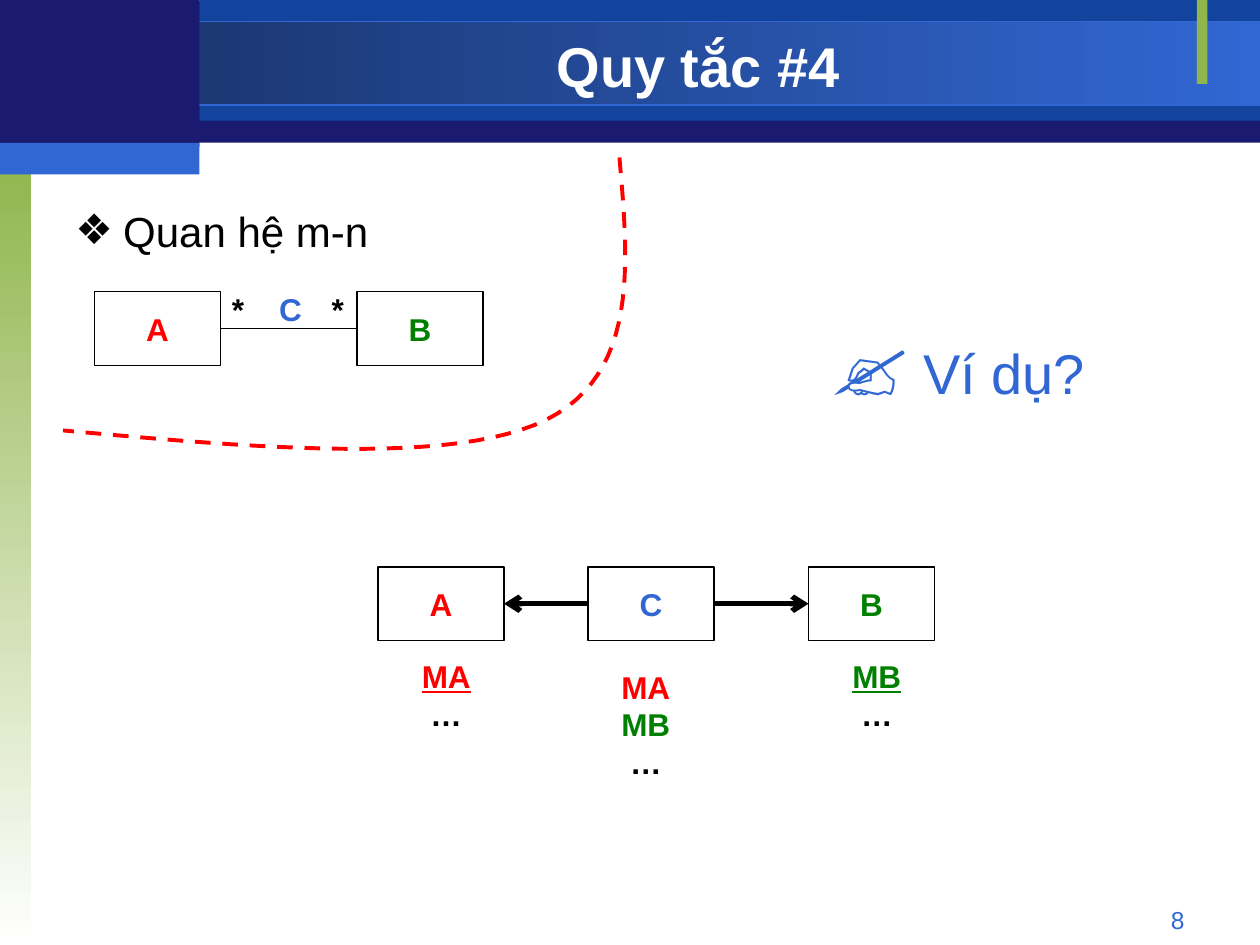
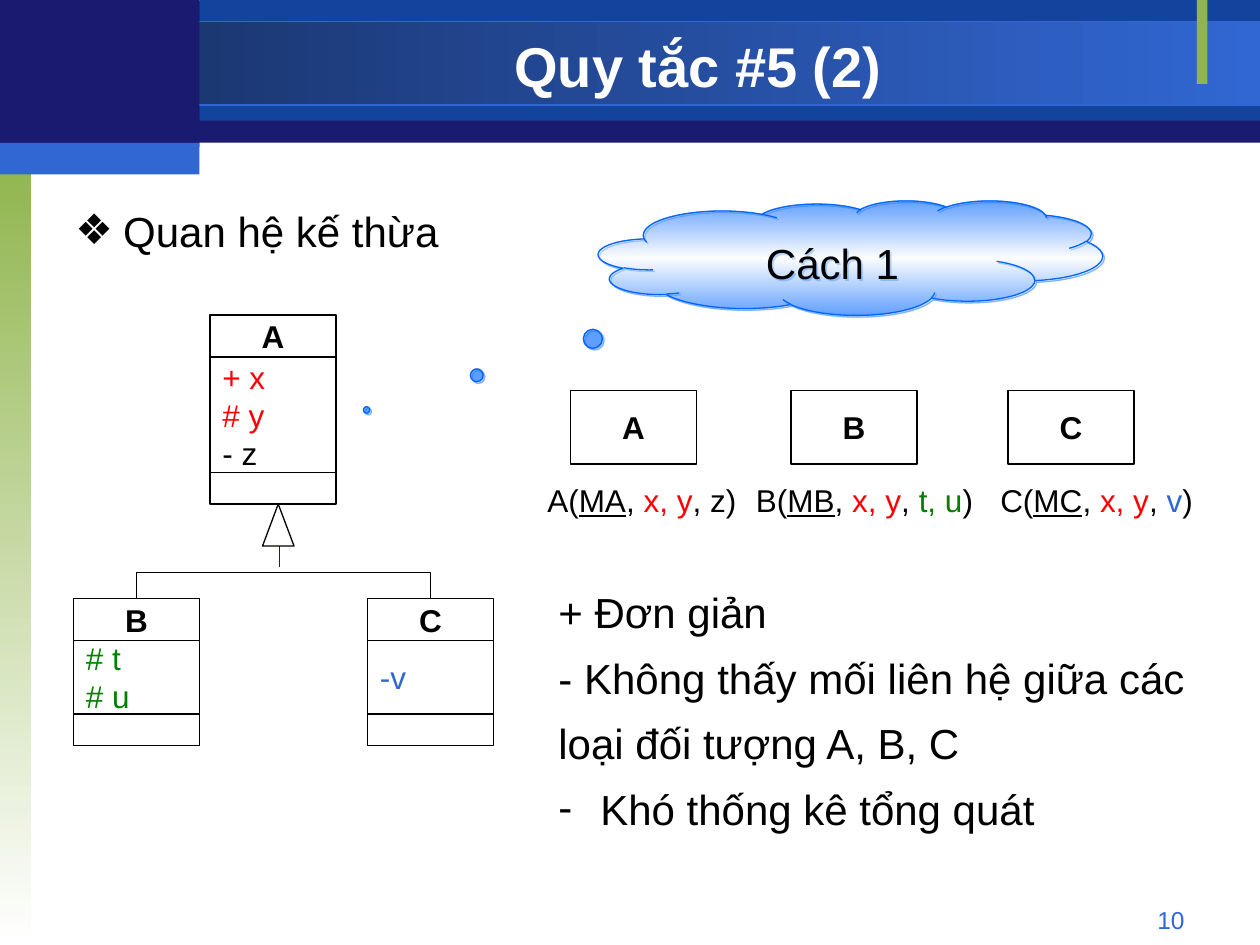
from dataclasses import dataclass

from lxml import etree
from pptx import Presentation
from pptx.dml.color import RGBColor
from pptx.enum import dml, shapes, text
from pptx.oxml import parse_xml
from pptx.oxml.ns import nsdecls, qn
from pptx.util import Inches, Pt

# The grid: 120 columns by 90 rows, twelve to the inch
COLUMNS, ROWS, PER_INCH = 120, 90, 12
FONT = "Arial"
NAVY, DEEP, BLUE, DUSK = "1A1A70", "12449E", "3167D3", "172F61"
LIME, SKY = "90B54D", "0066FF"
BLACK, WHITE, RED, GREEN = "000000", "FFFFFF", "FF0000", "008000"
LEFT, CENTER = text.PP_ALIGN.LEFT, text.PP_ALIGN.CENTER
RIGHT, JUSTIFY = text.PP_ALIGN.RIGHT, text.PP_ALIGN.JUSTIFY
TOP_SIDE, LEFT_SIDE, RIGHT_SIDE = 0, 1, 3
CARD_W, CARD_H = 12, 7


def rgb(colour):
    return RGBColor.from_string(colour)


def cells(*lengths):
    return [Inches(length / PER_INCH) for length in lengths]


def paint_gradient(shape, stops, angle, alpha=100):
    marks = "".join(
        f'<a:gs pos="{at * 1000}"><a:srgbClr val="{colour}">'
        f'<a:alpha val="{alpha * 1000}"/></a:srgbClr></a:gs>'
        for at, colour in stops)
    gradient = parse_xml(
        f'<a:gradFill {nsdecls("a")} rotWithShape="1"><a:gsLst>{marks}</a:gsLst>'
        f'<a:lin ang="{angle * 60000}" scaled="0"/></a:gradFill>')
    shape.fill.background()
    blank = shape._element.spPr.find(qn("a:noFill"))
    blank.getparent().replace(blank, gradient)


def add_bullet(paragraph, mark, indent):
    props = paragraph._p.get_or_add_pPr()
    props.set("marL", str(Inches(indent)))
    props.set("indent", str(-Inches(indent)))
    etree.SubElement(props, qn("a:buFont")).set("typeface", FONT)
    etree.SubElement(props, qn("a:buChar")).set("char", mark)


def write(frame, lines, size=18, bold=False, align=LEFT, spacing=None):
    """Each line is a list of runs: (words, colour, optional underline)."""
    for number, runs in enumerate(lines):
        line = frame.add_paragraph() if number else frame.paragraphs[0]
        line.alignment = align
        if spacing:
            line.line_spacing = spacing
        for words, colour, *underline in runs:
            run = line.add_run()
            run.text = words
            font = run.font
            font.name, font.size, font.bold = FONT, Pt(size), bold
            font.color.rgb = rgb(colour)
            if underline:
                font.underline = True


@dataclass
class Region:
    """A part of a slide; its parts are placed from its top left corner."""
    slide: object
    left: float = 0
    top: float = 0

    def place(self, x, y):
        return cells(self.left + x, self.top + y)

    def shape(self, x, y, w, h, fill=WHITE, line=None,
              kind=shapes.MSO_SHAPE.RECTANGLE):
        part = self.slide.shapes.add_shape(kind, *self.place(x, y), *cells(w, h))
        part.shadow.inherit = False
        part.fill.solid()
        part.fill.fore_color.rgb = rgb(fill)
        if line:
            part.line.color.rgb = rgb(line)
            part.line.width = Pt(0.75)
        else:
            part.line.fill.background()
        return part

    def card(self, x, y, lines=(), h=CARD_H, bold=True, align=CENTER):
        part = self.shape(x, y, CARD_W, h, line=BLACK)
        part.text_frame.vertical_anchor = text.MSO_ANCHOR.MIDDLE
        write(part.text_frame, lines, bold=bold, align=align)
        return part

    def words(self, x, y, w, h, lines, wrap=False, **style):
        frame = self.slide.shapes.add_textbox(
            *self.place(x, y), *cells(w, h)).text_frame
        frame.word_wrap = wrap
        frame.auto_size = (text.MSO_AUTO_SIZE.NONE if wrap
                           else text.MSO_AUTO_SIZE.SHAPE_TO_FIT_TEXT)
        write(frame, lines, **style)
        return frame

    def line(self, start=(0, 0), end=(0, 0), colour=BLACK, width=0.75,
             begin=None, finish=None, arrow=False,
             kind=shapes.MSO_CONNECTOR.STRAIGHT):
        """begin and finish are (card, side) pairs to join."""
        link = self.slide.shapes.add_connector(
            kind, *self.place(*start), *self.place(*end))
        if begin:
            link.begin_connect(*begin)
        if finish:
            link.end_connect(*finish)
        link.line.color.rgb = rgb(colour)
        link.line.width = Pt(width)
        if arrow:
            head = etree.SubElement(link.line._get_or_add_ln(), qn("a:tailEnd"))
            head.set("type", "arrow")
        etree.SubElement(link._element.spPr, qn("a:effectLst"))
        return link


# What the slides share: bands, title, heading, page number
def add_base_slide(deck, title, heading, page):
    slide = deck.slides.add_slide(deck.slide_layouts[6])
    whole = Region(slide)
    whole.shape(0, 0.1, COLUMNS, 13.5, NAVY)
    whole.shape(19, 0, COLUMNS - 19, 11.5, DEEP)
    title_band = whole.shape(0, 2.05, COLUMNS, 7.95, line=BLUE)
    paint_gradient(title_band, [(0, DUSK), (100, BLUE)], 0)
    side_strip = whole.shape(0, 15, 3, ROWS - 15)
    paint_gradient(side_strip, [(0, LIME), (100, WHITE)], 90)
    whole.shape(114, 0, 1, 8, LIME)
    whole.shape(0, 0, 19, 14, NAVY)
    whole.shape(0, 13.6, 19, 3, BLUE)

    whole.words(86, 85.6, 28, 3.25, [[(page, BLUE)]], wrap=True, size=14, align=RIGHT)
    title_frame = whole.words(19, 2.7, 95, 7, [[(title, WHITE)]], wrap=True,
                              size=32, bold=True, align=CENTER)
    title_frame.vertical_anchor = text.MSO_ANCHOR.MIDDLE
    body = whole.words(6, 18, 108, 66, [[(heading, BLACK)]], wrap=True,
                       size=24, spacing=1.2)
    body.paragraphs[0].space_before = Pt(4.8)
    add_bullet(body.paragraphs[0], "❖", 0.38)
    return slide


# Slide "#4": the many-to-many relation
def draw_relation(area):
    a = area.card(0, 0.8, [[("A", RED)]])
    b = area.card(25, 0.8, [[("B", GREEN)]])
    area.line(begin=(a, RIGHT_SIDE), finish=(b, LEFT_SIDE))
    for x, mark, colour in ((11.9, "*", BLACK), (16.4, "C", BLUE), (21.4, "*", BLACK)):
        area.words(x, 0, 5, 4.8, [[(mark, colour)]], bold=True)


def draw_divider(area):
    def bezier(p0, p1, p2, p3, steps=24):
        for step in range(steps + 1):
            t = step / steps
            s = 1 - t
            yield tuple(s**3 * a + 3 * s * s * t * b + 3 * s * t * t * c + t**3 * d
                        for a, b, c, d in zip(p0, p1, p2, p3))

    points = [*bezier((53, 0), (53.9, 10.3), (54.8, 20.6), (46, 25)),
              *bezier((46, 25), (37.2, 29.3), (18.6, 27.7), (0, 26))]
    start, *rest = [area.place(*point) for point in points]
    builder = area.slide.shapes.build_freeform(*start, scale=1.0)
    builder.add_line_segments(rest, close=False)
    divider = builder.convert_to_shape()
    divider.shadow.inherit = False
    divider.fill.background()
    divider.line.color.rgb = rgb(RED)
    divider.line.width = Pt(2.25)
    divider.line.dash_style = dml.MSO_LINE.DASH


def draw_joined_tables(area):
    a, c, b = [area.card(x, 0, [[(name, colour)]])
               for x, name, colour in ((0, "A", RED), (20, "C", BLUE), (41, "B", GREEN))]
    for target, own_side, far_side in ((a, LEFT_SIDE, RIGHT_SIDE),
                                       (b, RIGHT_SIDE, LEFT_SIDE)):
        area.line(begin=(c, own_side), finish=(target, far_side), width=3, arrow=True)
    rest = [("…", BLACK)]
    for x, y, keys in ((2.5, 8, [[("MA", RED, True)]]),
                       (43.5, 8, [[("MB", GREEN, True)]]),
                       (21.5, 9, [[("MA", RED)], [("MB", GREEN)]])):
        area.words(x, y, 8, 1.2 + 3.6 * (len(keys) + 1), [*keys, rest],
                   bold=True, align=CENTER)


def draw_example(area):
    frame = area.words(0, 0, 30, 10.8, [[("✍", BLUE), (" Ví dụ?", BLUE)]], size=32)
    frame.paragraphs[0].runs[0].font.size = Pt(48)


# Slide "#5 (2)": inheritance
def draw_class(area, x, y, name, fields, fields_h):
    head_h, foot_h = 4, 3
    head = area.card(x, y, [[(name, BLACK)]], h=head_h)
    area.card(x, y + head_h, [[field] for field in fields], h=fields_h,
              bold=False, align=LEFT)
    area.card(x, y + head_h + fields_h, h=foot_h)
    return head


def draw_bracket(area, first, second, rise):
    """Join the tops of two cards by a bent line that runs above them."""
    bracket = area.line(begin=(first, TOP_SIDE), finish=(second, TOP_SIDE),
                        kind=shapes.MSO_CONNECTOR.ELBOW)
    span, thin = second.left - first.left, Pt(0.125)
    middle = first.left + first.width // 2 + span // 2
    bracket.left, bracket.top = middle - thin // 2, first.top - span // 2
    bracket.width, bracket.height = thin, span
    frame = bracket._element.spPr.find(qn("a:xfrm"))
    frame.set("rot", "5400000")
    frame.set("flipV", "1")
    bends = bracket._element.spPr.find(qn("a:prstGeom")).get_or_add_avLst()
    bend = etree.SubElement(bends, qn("a:gd"))
    bend.set("name", "adj1")
    bend.set("fmla", f"val {-round(cells(rise)[0] / thin * 100000)}")


def draw_class_tree(area):
    draw_class(area, 13, 0, "A", [("+ x", RED), ("# y", RED), ("- z", BLACK)], 11)
    b = draw_class(area, 0, 27, "B", [("# t", GREEN), ("# u", GREEN)], CARD_H)
    c = draw_class(area, 28, 27, "C", [("-v", BLUE)], CARD_H)
    draw_bracket(area, b, c, rise=2.75)
    area.line((19.6, 24), (19.6, 21), NAVY)
    area.shape(18, 18, 3, 4, line=BLACK, kind=shapes.MSO_SHAPE.ISOSCELES_TRIANGLE)


def draw_separate_tables(area):
    comma, shared = (", ", BLACK), ("x, y", RED)
    tables = (("A", 0, 6.8, [(", z)", BLACK)]),
              ("B", 21, 28, [comma, ("t, u", GREEN), (")", BLACK)]),
              ("C", 41.67, 50.1, [comma, ("v", BLUE), (")", BLACK)]))
    schema_w = 25
    for name, x, schema_middle, own in tables:
        area.card(x, 0, [[(name, BLACK)]])
        schema = [(name + "(", BLACK), ("M" + name, BLACK, True), comma, shared, *own]
        area.words(schema_middle - schema_w / 2, 8, schema_w, 4.8, [schema],
                   align=CENTER)


def draw_remarks(area):
    remarks = ("+ Đơn giản",
               "- Không thấy mối liên hệ giữa các loại đối tượng A, B, C",
               " Khó thống kê tổng quát")
    frame = area.words(0, 0, 62, 26.2, [[(remark, BLACK)] for remark in remarks],
                       wrap=True, size=24, align=JUSTIFY, spacing=1.3)
    add_bullet(frame.paragraphs[-1], "-", 0.24)


def draw_cloud(area):
    cloud = area.shape(0, 0, 48, 10.9, line=SKY, kind=shapes.MSO_SHAPE.CLOUD_CALLOUT)
    cloud.adjustments[0], cloud.adjustments[1] = -0.96, 1.33
    paint_gradient(cloud, [(0, SKY), (50, WHITE), (100, SKY)], 90, alpha=50)
    effects = cloud._element.spPr.find(qn("a:effectLst"))
    effects.append(parse_xml(
        f'<a:outerShdw {nsdecls("a")} dist="{Pt(1.4)}" dir="2700000" algn="ctr" '
        f'rotWithShape="0"><a:srgbClr val="{SKY}"><a:alpha val="50000"/>'
        '</a:srgbClr></a:outerShdw>'))
    cloud.text_frame.vertical_anchor = text.MSO_ANCHOR.MIDDLE
    write(cloud.text_frame, [[("Cách 1", BLACK)]], size=24, align=CENTER, spacing=1.3)


def main():
    deck = Presentation()
    deck.slide_width, deck.slide_height = cells(COLUMNS, ROWS)

    many = add_base_slide(deck, "Quy tắc #4", "Quan hệ m-n", "8")
    draw_relation(Region(many, 9, 27))
    draw_joined_tables(Region(many, 36, 54))
    draw_divider(Region(many, 6, 15))
    draw_example(Region(many, 78, 29))

    inherit = add_base_slide(deck, "Quy tắc #5 (2)", "Quan hệ kế thừa", "10")
    draw_class_tree(Region(inherit, 7, 30))
    draw_separate_tables(Region(inherit, 54.33, 37.2))
    draw_remarks(Region(inherit, 52, 53.85))
    draw_cloud(Region(inherit, 57, 19.1))

    deck.save("out.pptx")


if __name__ == "__main__":
    main()
